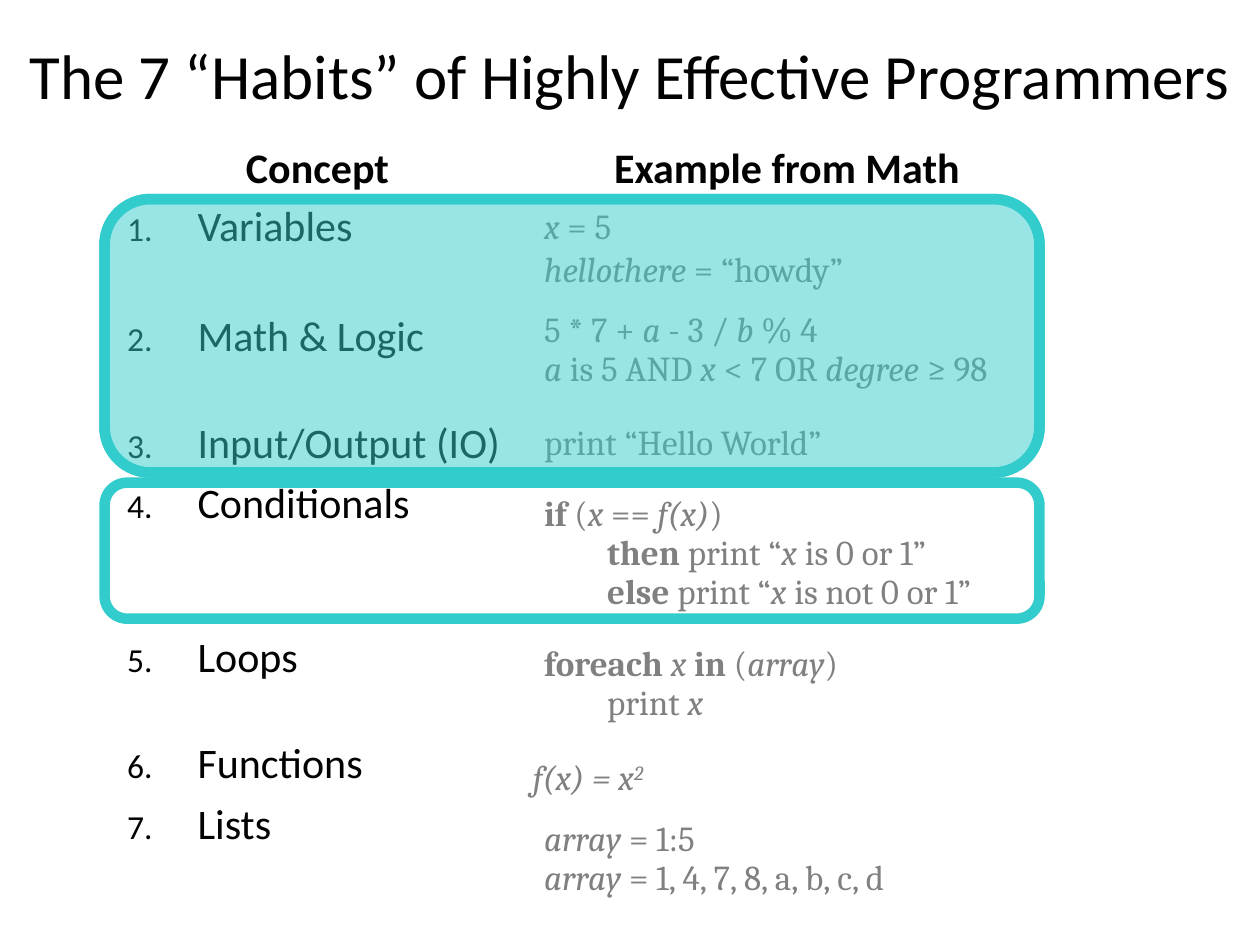
from lxml.etree import SubElement
from pptx import Presentation
from pptx.dml.color import RGBColor
from pptx.enum.shapes import MSO_SHAPE
from pptx.enum.text import MSO_ANCHOR, PP_ALIGN
from pptx.oxml.ns import qn
from pptx.util import Inches, Pt

COLORS = {"ink": "020202", "code": "808080", "frame": "33CCCC"}


def rgb(name):
    """Return the named colour."""
    return RGBColor.from_string(COLORS[name])


def add_bit(p, bit, size, font, color, bold, italic, raised):
    """Add one evenly formatted piece of text, with its line breaks."""
    for n, line in enumerate(bit.split("\n")):
        if n:
            br = SubElement(p._p, qn("a:br"))
            SubElement(br, qn("a:rPr"), sz=str(size * 100))
        if line:
            r = p.add_run()
            r.text = line
            r.font.size, r.font.name = Pt(size), font
            r.font.bold, r.font.italic = bold, italic
            r.font.color.rgb = rgb(color)
            if raised:
                r._r.get_or_add_rPr().set("baseline", "30000")


def write(p, text, size=24, font="Calibri", color="ink", bold=False,
          align=PP_ALIGN.LEFT, spacing=1.02, before=0, numbered=False):
    """Fill a paragraph; ^ marks superscript, | bold and _ italic."""
    p.alignment, p.line_spacing, p.space_before = align, spacing, Pt(before)
    pPr = p._p.get_or_add_pPr()
    if numbered:
        pPr.set("marL", str(Inches(0.56)))
        pPr.set("indent", str(-Inches(0.56)))
        SubElement(pPr, qn("a:buSzPct"), val="80000")
        SubElement(pPr, qn("a:buAutoNum"), type="arabicPeriod")
    if "\t" in text:
        tabs = SubElement(pPr, qn("a:tabLst"))
        SubElement(tabs, qn("a:tab"), pos=str(Inches(0.5)), algn="l")
    for i, raised in enumerate(text.split("^")):
        for j, strong in enumerate(raised.split("|")):
            for k, bit in enumerate(strong.split("_")):
                add_bit(p, bit, size, font, color, bold or j % 2 == 1,
                        k % 2 == 1, i % 2 == 1)
    SubElement(p._p, qn("a:endParaRPr"), sz=str(size * 100))


class Deck:
    """Hold the style and current slide; lengths are percent of the slide."""

    def __init__(self, width, height):
        """Start a deck with one blank slide."""
        self.prs = Presentation()
        self.prs.slide_width, self.prs.slide_height = Inches(width), Inches(height)
        self.s = self.prs.slides.add_slide(self.prs.slide_layouts[6])

    def place(self, x, y, w, h):
        """Turn shares into lengths."""
        W, H = self.prs.slide_width, self.prs.slide_height
        return [int(v * side / 100) for v, side in zip((x, y, w, h), (W, H, W, H))]

    def text(self, box, paragraphs, anchor=MSO_ANCHOR.TOP, **fmt):
        """Add a text box with one paragraph per string."""
        tf = self.s.shapes.add_textbox(*self.place(*box)).text_frame
        tf.word_wrap, tf.vertical_anchor = True, anchor
        for n, text in enumerate(paragraphs):
            write(tf.add_paragraph() if n else tf.paragraphs[0], text, **fmt)

    def code(self, y, h, text, x=42.2, spacing=0.93, before=4):
        """Add a grey example."""
        self.text((x, y, 57.8, h), [text], size=20, font="Cambria",
                  color="code", spacing=spacing, before=before)

    def frame(self, y, h, alpha=None):
        """Add a rounded frame, tinted when alpha is given."""
        sp = self.s.shapes.add_shape(MSO_SHAPE.ROUNDED_RECTANGLE,
                                     *self.place(8.3, y, 74.2, h))
        sp.shadow.inherit = False
        sp.line.color.rgb, sp.line.width = rgb("frame"), Pt(6)
        if alpha is None:
            sp.fill.background()
        else:
            sp.fill.solid()
            sp.fill.fore_color.rgb = rgb("frame")
            clr = sp._element.spPr.find(qn("a:solidFill"))[0]
            SubElement(clr, qn("a:alpha"), val=str(alpha * 1000))


def main():
    """Build and save the slide."""
    deck = Deck(10, 7.5)
    deck.text((0, 2.67, 100, 10.13),
              ["The 7 “Habits” of Highly Effective Programmers"],
              MSO_ANCHOR.MIDDLE, size=36, align=PP_ALIGN.CENTER)
    for x, w, heading in ((9.1, 32.2, "Concept"), (42.2, 40.5, "Example from Math")):
        deck.text((x, 11.6, w, 9.33), [heading], MSO_ANCHOR.BOTTOM, bold=True,
                  align=PP_ALIGN.CENTER, before=8)
    concepts = ["Variables\n", "Math & Logic\n", "Input/Output (IO)",
                "Conditionals\n\n", "Loops\n", "Functions", "Lists"]
    deck.text((9.1, 20.93, 32.2, 74.4), concepts, spacing=0.92, before=8,
              numbered=True)

    deck.code(20.93, 11.73, "_x_ = 5\n_hellothere _= “howdy”", spacing=1.02, before=7)
    examples = [
        (32.27, 11.73, "5 * 7 + _a_ - 3 / _b_ % 4\n"
                       "_a _is 5 AND _x _< 7 OR _degree_ ≥ 98"),
        (44.27, 6.67, "print “Hello World”"),
        (51.73, 11.73, "|if| (_x _==_ f(x)_)\n\t|then |print “_x_ is 0 or 1”\n"
                       "\t|else |print “_x _is not 0 or 1”"),
        (67.6, 11.73, "|foreach |_x _|in |(_array_)\n\tprint _x_"),
        (86.13, 11.73, "_array _= 1:5\n_array _= 1, 4, 7, 8, a, b, c, d"),
    ]
    for y, h, text in examples:
        deck.code(y, h, text)
    deck.code(79.73, 6.4, "_f(x) = x_^_2_^", x=41.3)

    for y, h, alpha in ((21.07, 28.93, None), (51.07, 14.4, None), (21.07, 28.93, 50)):
        deck.frame(y, h, alpha)
    deck.prs.save("out.pptx")


main()
